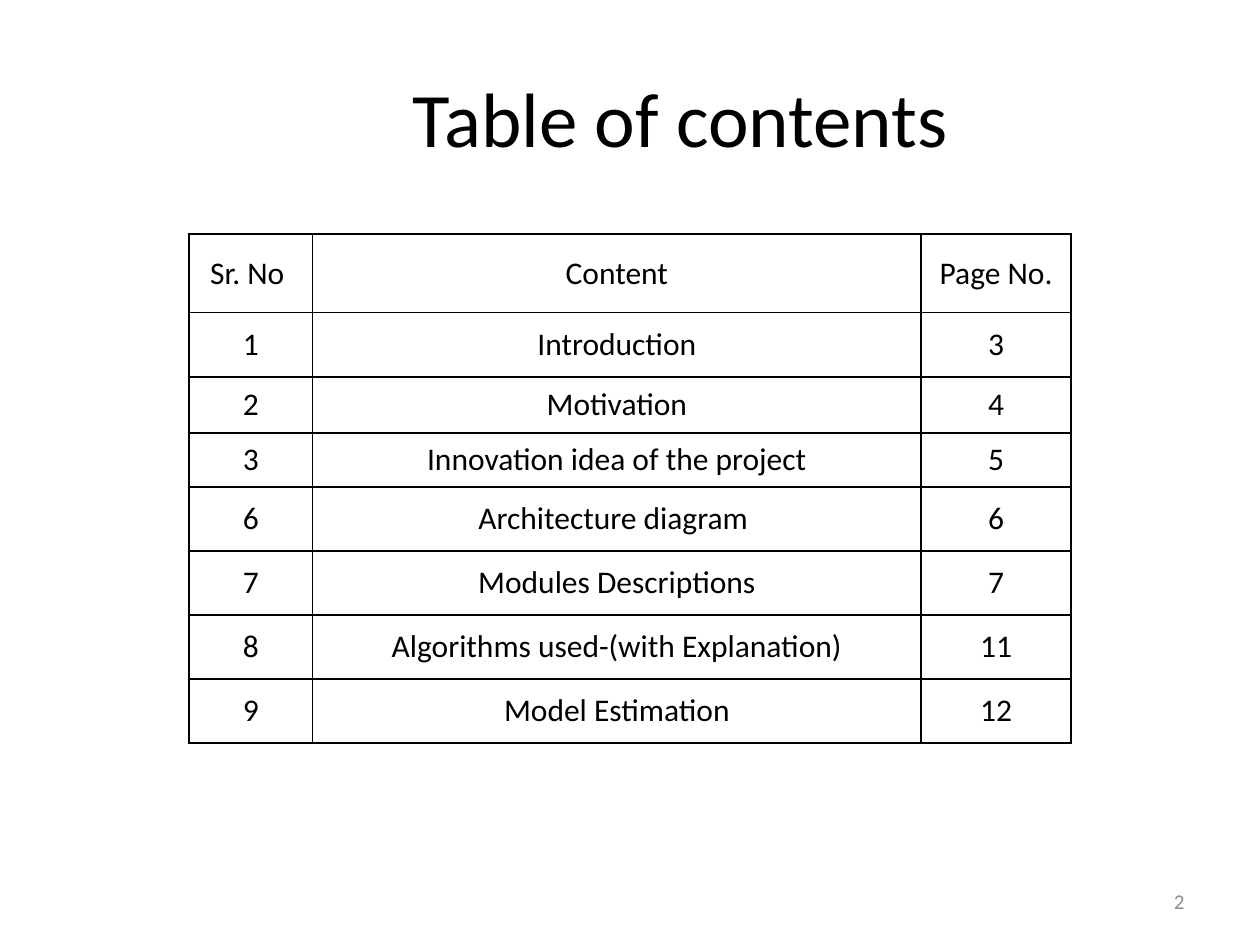
import pptx
import pptx.dml.color
import pptx.enum.text
import pptx.oxml
import pptx.oxml.ns
import pptx.util
from pptx.util import Cm

# Content
TITLE = "Table of contents"
PAGE_NUMBER = "2"
CONTENTS = [
    ("Sr. No ", "Content", "Page No."),
    ("1", "Introduction", "3"),
    ("2", "Motivation", "4"),
    ("3", "Innovation idea of the project", "5"),
    ("6", "Architecture diagram ", "6"),
    ("7", "Modules Descriptions", "7"),
    ("8", "Algorithms used-(with Explanation)", "11"),
    ("9", "Model Estimation", "12"),
]

# Format
COLORS = {"text": "000000", "number": "8C8C8C", "border": "000000"}
COLUMN_WIDTHS = [2.49, 12.27, 3.02]
ROW_HEIGHTS = [1.58, 1.3, 1.13, 1.09] + [1.29] * 4
ALIGN = pptx.enum.text.PP_ALIGN
MIDDLE = pptx.enum.text.MSO_ANCHOR.MIDDLE
INSETS = {"margin_left": Cm(0.25), "margin_right": Cm(0.25),
          "margin_top": Cm(0.13), "margin_bottom": Cm(0.13)}


def apply(target, values):
    for name, value in values.items():
        setattr(target, name, value)


def write(frame, text, size, color, align):
    para = frame.paragraphs[0]
    para.alignment = align
    span = para.add_run()
    span.text = text
    apply(span.font, {"name": "Calibri", "size": pptx.util.Pt(size)})
    span.font.color.rgb = pptx.dml.color.RGBColor.from_string(COLORS[color])


def add_text(page, place, text, size, color, align, **changes):
    box = page.shapes.add_textbox(*map(Cm, place))
    apply(box.text_frame, {"word_wrap": True, "vertical_anchor": MIDDLE,
                           **INSETS, **changes})
    write(box.text_frame, text, size, color, align)


def add_borders(cell):
    properties = cell._tc.get_or_add_tcPr()
    for index, side in enumerate(("lnL", "lnR", "lnT", "lnB")):
        properties.insert(index, pptx.oxml.parse_xml(
            f'<a:{side} {pptx.oxml.ns.nsdecls("a")} w="12700"><a:solidFill>'
            f'<a:srgbClr val="{COLORS["border"]}"/></a:solidFill></a:{side}>'))


deck = pptx.Presentation()
apply(deck, {"slide_width": Cm(25.4), "slide_height": Cm(19.05)})
page = deck.slides.add_slide(deck.slide_layouts[6])

# Title, moved right of centre by its left inset
add_text(page, (1.27, 0.76, 22.86, 3.18), TITLE, 44, "text", ALIGN.CENTER,
         margin_left=Cm(2.29))

# Contents table
table = page.shapes.add_table(
    len(CONTENTS), len(COLUMN_WIDTHS), Cm(3.81), Cm(4.72),
    Cm(sum(COLUMN_WIDTHS)), Cm(sum(ROW_HEIGHTS))).table
apply(table, {"first_row": False, "horz_banding": False})
for column, width in zip(table.columns, COLUMN_WIDTHS):
    column.width = Cm(width)
for row, height, entries in zip(table.rows, ROW_HEIGHTS, CONTENTS):
    row.height = Cm(height)
    for cell, entry in zip(row.cells, entries):
        apply(cell, {"vertical_anchor": MIDDLE, **INSETS})
        cell.fill.background()
        add_borders(cell)
        write(cell.text_frame, entry, 18, "text", ALIGN.CENTER)

# Page number
add_text(page, (18.2, 17.65, 5.93, 1.02), PAGE_NUMBER, 12, "number", ALIGN.RIGHT)

deck.save("out.pptx")
